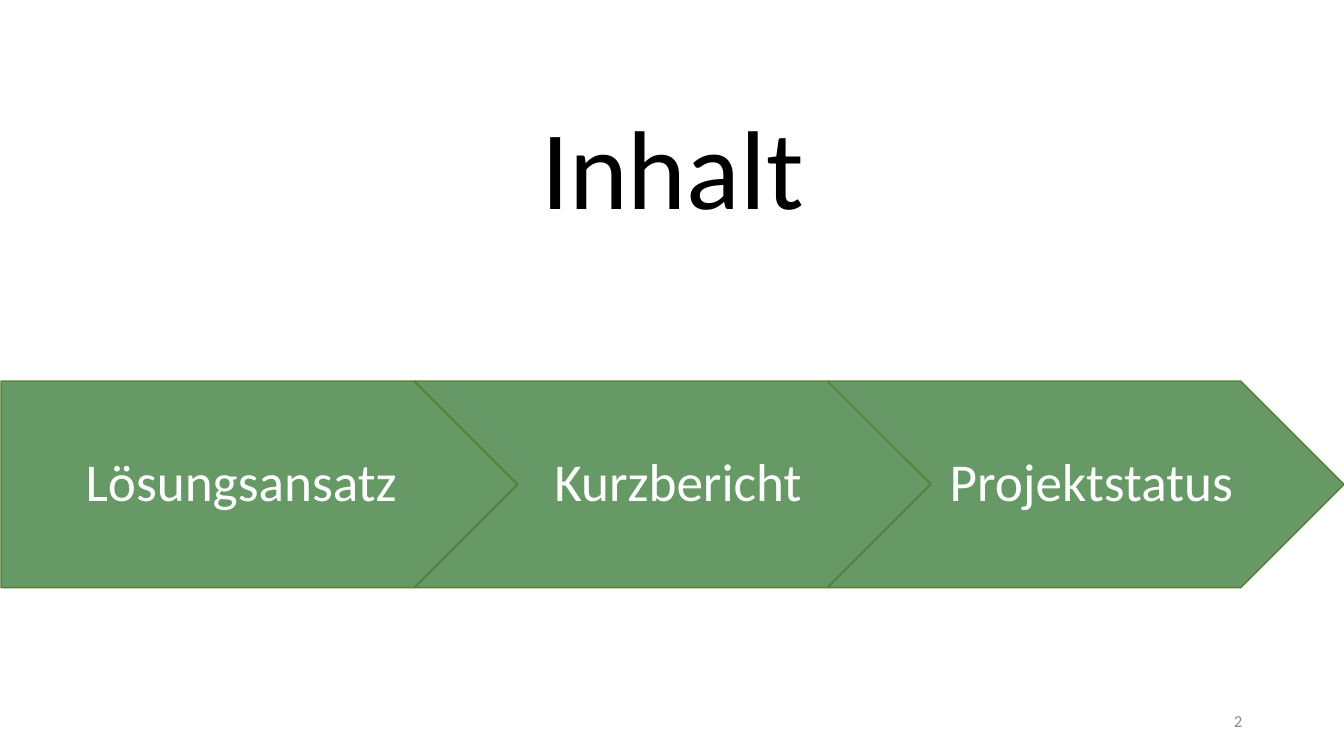
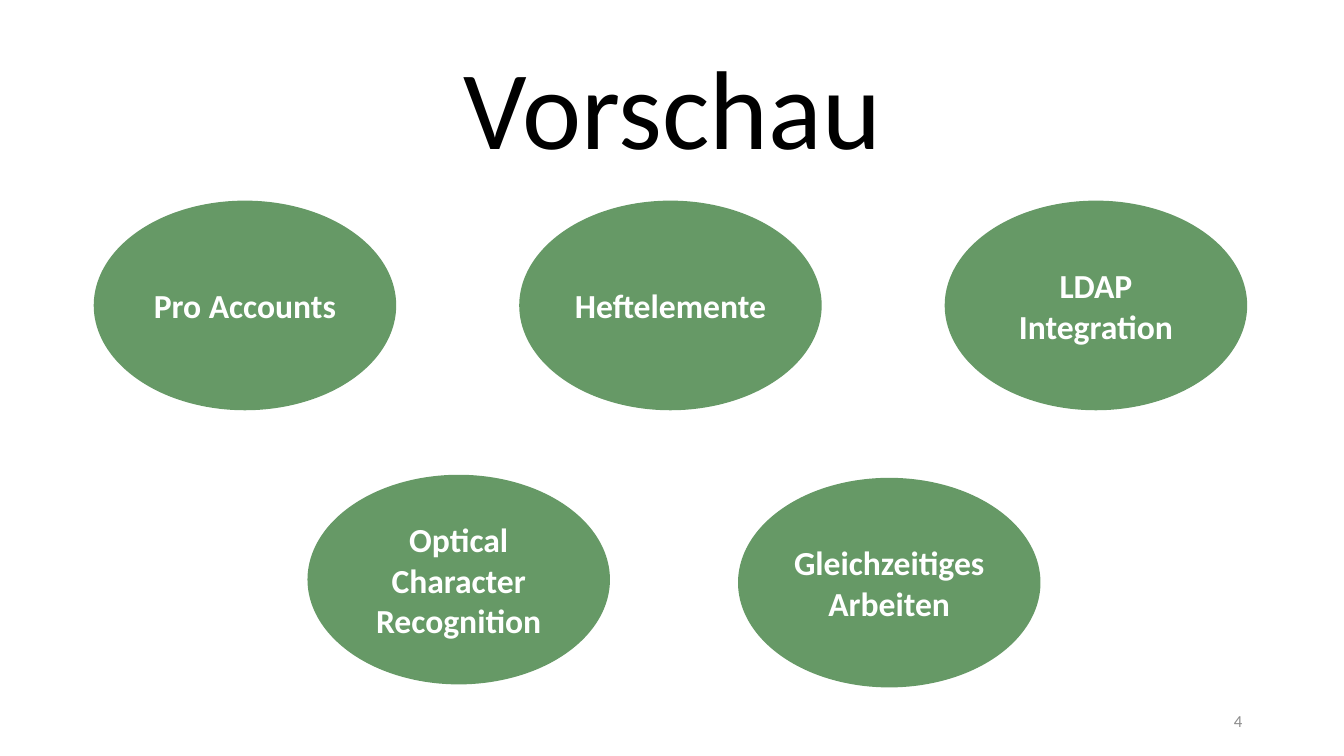
from dataclasses import dataclass

from pptx import Presentation
from pptx.dml.color import RGBColor
from pptx.enum.shapes import MSO_SHAPE
from pptx.enum.text import MSO_ANCHOR, MSO_AUTO_SIZE, PP_ALIGN
from pptx.util import Inches, Pt


@dataclass(frozen=True)
class Theme:
    font: str = "Calibri"
    ink: str = "000000"
    green: str = "669966"
    outline: str = "538035"
    white: str = "FFFFFF"
    grey: str = "8C8C8C"
    title_size: int = 80
    step_size: int = 38
    topic_size: int = 24
    number_size: int = 12


class SlideBuilder:
    def __init__(self, deck, theme):
        self.deck = deck
        self.theme = theme
        self.page = None

    def new_page(self, title, title_top, number):
        title_only = self.deck.slide_layouts[5]
        self.page = self.deck.slides.add_slide(title_only)
        self.add_title(title, title_top)
        self.add_number(number)

    def set_text(self, shape, text, size, color, align=PP_ALIGN.CENTER, bold=False, spacing=1.0):
        frame = shape.text_frame
        frame.text = text
        frame.word_wrap = True
        frame.auto_size = MSO_AUTO_SIZE.NONE
        frame.vertical_anchor = MSO_ANCHOR.MIDDLE
        for para in frame.paragraphs:
            para.alignment = align
            para.line_spacing = spacing
            for span in para.runs:
                span.font.name = self.theme.font
                span.font.size = Pt(size)
                span.font.bold = bold
                span.font.color.rgb = RGBColor.from_string(color)

    def add_title(self, text, top):
        title = self.page.shapes.title
        title.left, title.top = Inches(0.92), Inches(top)
        title.width, title.height = Inches(11.5), Inches(1.45)
        self.set_text(title, text, self.theme.title_size, self.theme.ink, spacing=0.9)

    def add_number(self, number):
        box = self.page.shapes.add_textbox(Inches(9.42), Inches(6.95), Inches(3), Inches(0.4))
        self.set_text(box, str(number), self.theme.number_size, self.theme.grey, PP_ALIGN.RIGHT)

    def add_green_shape(self, kind, left, top, width, height):
        shape = self.page.shapes.add_shape(
            kind, Inches(left), Inches(top), Inches(width), Inches(height)
        )
        shape.shadow.inherit = False
        shape.fill.solid()
        shape.fill.fore_color.rgb = RGBColor.from_string(self.theme.green)
        return shape

    def add_step(self, kind, text, left, left_inset):
        step = self.add_green_shape(kind, left, 3.78, 5.12, 2.05)
        step.line.color.rgb = RGBColor.from_string(self.theme.outline)
        step.line.width = Pt(1)
        frame = step.text_frame
        frame.margin_left, frame.margin_right = Inches(left_inset), Inches(0.06)
        frame.margin_top = frame.margin_bottom = Inches(0.11)
        self.set_text(step, text, self.theme.step_size, self.theme.white, spacing=0.9)

    def add_process(self, labels):
        for index, label in enumerate(labels):
            kind, inset = (MSO_SHAPE.CHEVRON, 0.17) if index else (MSO_SHAPE.PENTAGON, 0.22)
            self.add_step(kind, label, 0.01 + 4.1 * index, inset)

    def add_topic(self, text, left, top):
        topic = self.add_green_shape(MSO_SHAPE.OVAL, left, top, 3, 2.08)
        topic.line.fill.background()
        self.set_text(topic, text, self.theme.topic_size, self.theme.white, bold=True)


def main():
    deck = Presentation()
    deck.slide_width, deck.slide_height = Inches(13.33), Inches(7.5)
    builder = SlideBuilder(deck, Theme())

    builder.new_page("Inhalt", 0.99, 2)
    builder.add_process(["Lösungsansatz", "Kurzbericht", "Projektstatus"])

    builder.new_page("Vorschau", 0.4, 4)
    for column, topic in enumerate(["Pro Accounts", "Heftelemente", "LDAP Integration"]):
        builder.add_topic(topic, 0.93 + 4.22 * column, 1.99)
    builder.add_topic("Optical Character Recognition", 3.05, 4.71)
    builder.add_topic("Gleichzeitiges Arbeiten", 7.32, 4.74)

    deck.save("out.pptx")


if __name__ == "__main__":
    main()
